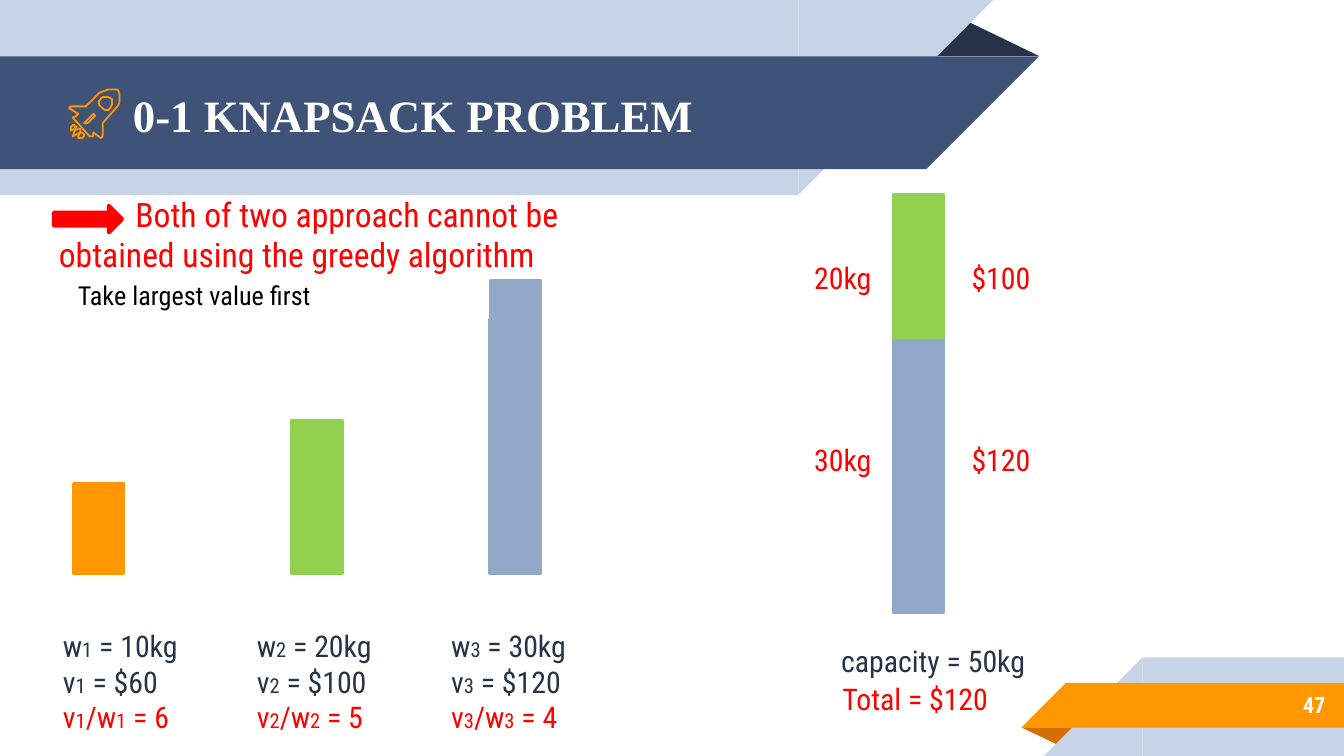
import pptx
import pptx.dml.color
import pptx.enum.shapes
import pptx.enum.text
import pptx.util

Pt = pptx.util.Pt
RGB = pptx.dml.color.RGBColor
MSO = pptx.enum.shapes.MSO_SHAPE
ALIGN = pptx.enum.text.PP_ALIGN
ANCHOR = pptx.enum.text.MSO_ANCHOR

WHITE = RGB(0xFF, 0xFF, 0xFF)
BLACK = RGB(0x00, 0x00, 0x00)
NAVY = RGB(0x26, 0x32, 0x48)
OUTLINE = RGB(0x13, 0x19, 0x24)
SLATE = RGB(0x3F, 0x53, 0x78)
PALE = RGB(0xC7, 0xD3, 0xE6)
STEEL = RGB(0x92, 0xA8, 0xC8)
ORANGE = RGB(0xFF, 0x98, 0x00)
RUST = RGB(0xD2, 0x6F, 0x00)
GREEN = RGB(0x92, 0xD0, 0x50)
RED = RGB(0xFF, 0x00, 0x00)

BODY_FONT = "Roboto Condensed"
BAR_W = 26.6
BASELINE = 307.2
STACK_X = 478.8

HULL = [(54.7, 73.4), (54.7, 66.2), (61.9, 58.3), (63.4, 56.9), (64.1, 54.7), (64.1, 49.7),
        (63.4, 48.2), (57.6, 48.2), (54.7, 49), (53.3, 49.7), (46.1, 56.9), (38.2, 56.9),
        (37.4, 57.6), (41.8, 61.2), (41, 61.9), (38.9, 62.6), (38.9, 63.4), (48.2, 73.4),
        (49.7, 73.4), (49.7, 70.6), (50.4, 70.6), (54, 74.2)]
SLOT = [(46.8, 66.2), (46.1, 66.2), (45.4, 65.5), (46.1, 64.8), (49.7, 61.2), (50.4, 61.2),
        (51.1, 61.9)]
WINDOW = [(57.6, 59), (56.2, 59), (53.3, 56.2), (52.6, 55.1), (53.3, 54), (55.4, 52.2),
          (56.9, 51.8), (58.3, 52.2), (59.8, 53.3), (59.8, 56.2), (59, 57.6)]
FLAME = [(43.2, 69.1), (41.8, 68.8), (40.3, 69.8), (38.9, 73.4), (41, 72), (43.2, 71.3)]
SPARK = [(2.2, 0.7), (1.4, 0), (0.7, 0), (0, 1.4), (0, 2.9), (1.4, 2.2), (2.9, 1.4)]


def add_block(slide, kind, x, y, w, h, fill, line=None, line_w=2, rotation=0):
    """Add a filled preset shape, outlined if a line colour is given."""
    sp = slide.shapes.add_shape(kind, Pt(x), Pt(y), Pt(w), Pt(h))
    sp.shadow.inherit = False
    sp.rotation = rotation
    sp.fill.solid()
    sp.fill.fore_color.rgb = fill
    if line is None:
        sp.line.fill.background()
    else:
        sp.line.color.rgb = line
        sp.line.width = Pt(line_w)
    return sp


def add_fold(slide, x, y, w, h, fill, rotation=0):
    """Add the dark triangle behind a ribbon."""
    sp = add_block(slide, MSO.ISOSCELES_TRIANGLE, x, y, w, h, fill, rotation=rotation)
    sp.adjustments[0] = 0.324


def add_left_ribbon(slide, y, w, h, fill):
    """Add a band from the left edge with a slanted right end."""
    add_block(slide, MSO.RECTANGLE, 0, y, w, h, fill)
    add_block(slide, MSO.RIGHT_TRIANGLE, w, y, h, h, fill, rotation=90)


def add_right_ribbon(slide, x, y, h, fill):
    """Add a band to the right edge with a slanted left end."""
    add_block(slide, MSO.RECTANGLE, x, y, 720 - x, h, fill)
    add_block(slide, MSO.RIGHT_TRIANGLE, x - h, y, h, h, fill, rotation=270)


def add_outline(slide, *contours):
    """Add an unfilled orange outline made of closed contours."""
    builder = slide.shapes.build_freeform(*contours[0][0], scale=Pt(1))
    builder.add_line_segments(contours[0][1:])
    for contour in contours[1:]:
        builder.move_to(*contour[0])
        builder.add_line_segments(contour[1:])
    sp = builder.convert_to_shape()
    sp.shadow.inherit = False
    sp.fill.background()
    sp.line.color.rgb = ORANGE
    sp.line.width = Pt(0.96)


def add_rocket(slide):
    """Draw the rocket icon beside the title."""
    add_outline(slide, HULL, SLOT, WINDOW)
    add_outline(slide, FLAME)
    for dx, dy in [(42.5, 71.3), (38.2, 67)]:
        add_outline(slide, [(x + dx, y + dy) for x, y in SPARK])


def set_font(font, size, color, name=BODY_FONT, bold=False):
    """Set the size, colour, family and weight of a font."""
    font.size = Pt(size)
    font.color.rgb = color
    font.name = name
    font.bold = bold


def add_box(slide, x, y, w, h, wrap=False):
    """Add an empty text box and return its text frame."""
    tf = slide.shapes.add_textbox(Pt(x), Pt(y), Pt(w), Pt(h)).text_frame
    tf.word_wrap = wrap
    tf.auto_size = pptx.enum.text.MSO_AUTO_SIZE.SHAPE_TO_FIT_TEXT
    return tf


def add_label(slide, text, x, y, w, h, size=16, color=RED, wrap=False, indent=0):
    """Add a one-paragraph label."""
    p = add_box(slide, x, y, w, h, wrap).paragraphs[0]
    p.text = text
    if indent:
        p._p.get_or_add_pPr().set("indent", str(Pt(indent)))
    set_font(p.font, size, color)


def add_banner_text(slide, text, x, y, w, h, size, name=BODY_FONT, align=ALIGN.LEFT):
    """Add bold white text centred vertically on a ribbon."""
    tf = add_box(slide, x, y, w, h, wrap=True)
    tf.auto_size = pptx.enum.text.MSO_AUTO_SIZE.NONE
    tf.vertical_anchor = ANCHOR.MIDDLE
    tf.margin_top = tf.margin_bottom = Pt(7.2)
    p = tf.paragraphs[0]
    p.text = text
    p.alignment = align
    set_font(p.font, size, WHITE, name, True)


def add_item_text(slide, n, x, weight, value):
    """List weight, value and their ratio for one item, with small indices."""
    tf = add_box(slide, x, 332.6, 79, 65.5)
    rows = [(["w", n, f" = {weight}kg"], NAVY),
            (["v", n, f" = ${value}"], NAVY),
            (["v", n, "/w", n, f" = {value // weight}"], RED)]
    for i, (parts, color) in enumerate(rows):
        p = tf.add_paragraph() if i else tf.paragraphs[0]
        set_font(p.font, 16, color)
        for part in parts:
            r = p.add_run()
            r.text = str(part)
            r.font.size = Pt(11 if part == n else 16)


def add_bar(slide, x, bottom, h, color):
    """Add a bar standing on the given bottom line."""
    add_block(slide, MSO.RECTANGLE, x, bottom - h, BAR_W, h, color, color)


def main():
    """Build the knapsack slide."""
    prs = pptx.Presentation()
    prs.slide_width, prs.slide_height = Pt(720), Pt(405)
    slide = prs.slides.add_slide(prs.slide_layouts[6])

    add_fold(slide, 495.4, 10, 61.2, 20, NAVY)
    add_left_ribbon(slide, 0, 427.7, 104.4, PALE)
    add_left_ribbon(slide, 30.2, 496.1, 60.5, SLATE)
    add_fold(slide, 547.2, 389.7, 31, 10, RUST, rotation=180)
    add_right_ribbon(slide, 612, 352.2, 52.8, PALE)
    add_right_ribbon(slide, 571, 365.9, 23.9, ORANGE)
    add_banner_text(slide, "0-1 KNAPSACK PROBLEM", 64.1, 31, 445.7, 60.5, 24, "Times New Roman")
    add_banner_text(slide, "47", 599.8, 365, 117.4, 25.2, 12, align=ALIGN.RIGHT)
    add_rocket(slide)

    add_block(slide, MSO.RECTANGLE, STACK_X, 104.4, BAR_W, 223.2, WHITE, OUTLINE, 0.25)
    add_label(slide, "capacity = 50kg", 443.5, 340.6, 114.5, 26.6, color=NAVY)
    add_label(slide, "Total = $120", 444.2, 361.4, 94.3, 26.6)
    for y, weight, value in [(135.4, "20kg", "$100"), (233.3, "30kg", "$120")]:
        add_label(slide, weight, 429.1, y, 45.4, 26.6)
        add_label(slide, value, 513.4, y, 46.1, 26.6)
    add_label(slide, "Both of two approach cannot be obtained using the greedy algorithm",
              24.5, 100.1, 304.6, 51.1, size=18, wrap=True, indent=41)

    add_bar(slide, 156.6, BASELINE, 82, GREEN)
    add_bar(slide, 39.4, BASELINE, 48.2, ORANGE)
    add_bar(slide, 262.6, BASELINE, 136, STEEL)
    add_bar(slide, 263, BASELINE, 156.6, STEEL)
    add_bar(slide, STACK_X, 328, 147.4, STEEL)
    add_block(slide, MSO.RIGHT_ARROW, 28.8, 110.2, 36.7, 14.4, RED, RED)
    for n, x, weight, value in [(1, 26.6, 10, 60), (2, 130.5, 20, 100), (3, 234.6, 30, 120)]:
        add_item_text(slide, n, x, weight, value)
    add_bar(slide, STACK_X, 180.7, 76.3, GREEN)
    add_label(slide, "Take largest value first", 34.6, 146.2, 199.4, 25.2,
              size=14, color=BLACK, wrap=True)

    prs.save("out.pptx")


if __name__ == "__main__":
    main()
